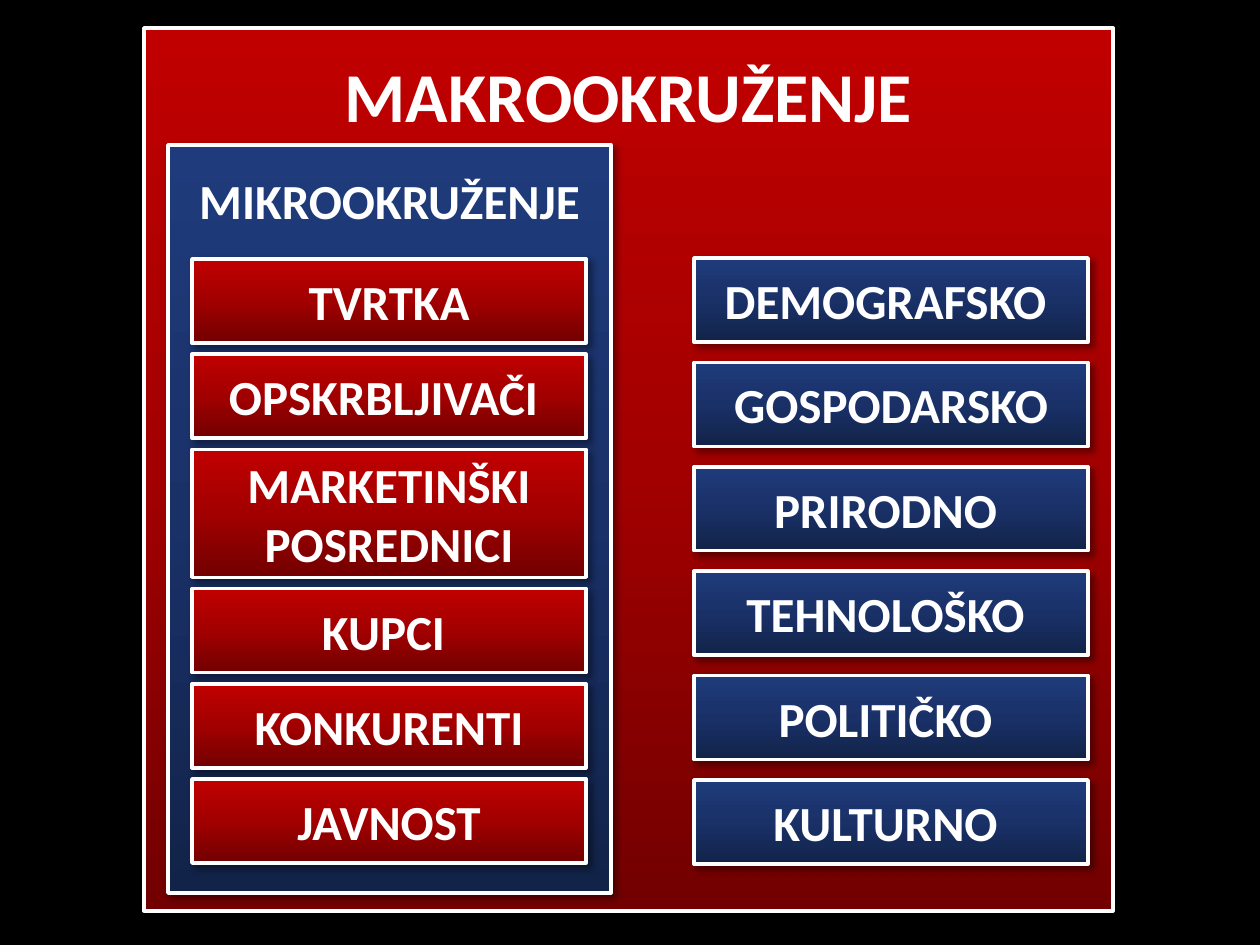
from lxml import etree
from pptx import Presentation
from pptx.dml.color import RGBColor
from pptx.enum.shapes import MSO_SHAPE
from pptx.enum.text import MSO_ANCHOR, PP_ALIGN
from pptx.oxml.ns import qn
from pptx.util import Pt

RECTANGLE = MSO_SHAPE.RECTANGLE
TOP, MIDDLE = MSO_ANCHOR.TOP, MSO_ANCHOR.MIDDLE
CENTER = PP_ALIGN.CENTER
PX = 914400 / 126

THEME = {
    "background": "000000",
    "white": "FFFFFF",
    "shadow": "000000",
    "red": ((0, "720000"), (50, "A20000"), (100, "C00000")),
    "blue": ((0, "122349"), (50, "1A3168"), (100, "1F3B7B")),
    "font": "Calibri",
    "title": 40,
    "label": 28,
}


def add_panel(bounds, gradient, text, size=THEME["label"], anchor=MIDDLE, inset_top=6):
    shape = slide.shapes.add_shape(RECTANGLE, *(round(value * PX) for value in bounds))

    # Three-stop gradient, running upwards
    shape.fill.gradient()
    shape.fill.gradient_angle = 90
    stops = shape._element.spPr.find(".//" + qn("a:gsLst"))
    for stop in list(stops):
        stops.remove(stop)
    for position, color in gradient:
        stop = etree.SubElement(stops, qn("a:gs"), pos=str(position * 1000))
        etree.SubElement(stop, qn("a:srgbClr"), val=color)

    shape.line.color.rgb = RGBColor.from_string(THEME["white"])
    shape.line.width = Pt(2)

    # Soft shadow to the lower right
    shape.shadow.inherit = False
    effects = shape._element.spPr.find(qn("a:effectLst"))
    shadow = etree.SubElement(
        effects, qn("a:outerShdw"), blurRad=str(Pt(4)), dist=str(Pt(3)),
        dir=str(45 * 60000), algn="tl", rotWithShape="0")
    color = etree.SubElement(shadow, qn("a:srgbClr"), val=THEME["shadow"])
    etree.SubElement(color, qn("a:alpha"), val="40000")

    frame = shape.text_frame
    frame_format = {"word_wrap": True, "vertical_anchor": anchor,
                    "margin_top": round(inset_top * PX)}
    for name, value in frame_format.items():
        setattr(frame, name, value)
    paragraph = frame.paragraphs[0]
    paragraph.text = text
    paragraph.alignment = CENTER
    font_format = {"name": THEME["font"], "size": Pt(size), "bold": True}
    for name, value in font_format.items():
        setattr(paragraph.runs[0].font, name, value)
    paragraph.runs[0].font.color.rgb = RGBColor.from_string(THEME["white"])


presentation = Presentation()
presentation.slide_width = round(1260 * PX)
presentation.slide_height = round(945 * PX)
slide = presentation.slides.add_slide(presentation.slide_layouts[6])
slide.background.fill.solid()
slide.background.fill.fore_color.rgb = RGBColor.from_string(THEME["background"])

# Macro environment with the micro environment inside it
add_panel((144, 28, 969, 883), THEME["red"], "MAKROOKRUŽENJE", THEME["title"], TOP, 25)
add_panel((168, 145, 443, 748), THEME["blue"], "MIKROOKRUŽENJE", anchor=TOP, inset_top=25)

# Columns of factors, spread evenly between top and bottom
BOX_WIDTH, BOX_HEIGHT, TALL_BOX_HEIGHT = 394, 84, 128
MICRO_FACTORS = ["TVRTKA", "OPSKRBLJIVAČI ", "MARKETINŠKI POSREDNICI",
                 "KUPCI ", "KONKURENTI", "JAVNOST"]
MACRO_FACTORS = ["DEMOGRAFSKO ", "GOSPODARSKO", "PRIRODNO ",
                 "TEHNOLOŠKO ", "POLITIČKO ", "KULTURNO "]
columns = [
    (192, 259, 863, THEME["red"], MICRO_FACTORS),
    (694, 258, 864, THEME["blue"], MACRO_FACTORS),
]
for left, top, bottom, gradient, factors in columns:
    heights = [TALL_BOX_HEIGHT if " " in factor.strip() else BOX_HEIGHT
               for factor in factors]
    gap = (bottom - top - sum(heights)) / (len(factors) - 1)
    for factor, height in zip(factors, heights):
        add_panel((left, top, BOX_WIDTH, height), gradient, factor)
        top += height + gap

presentation.save("out.pptx")
